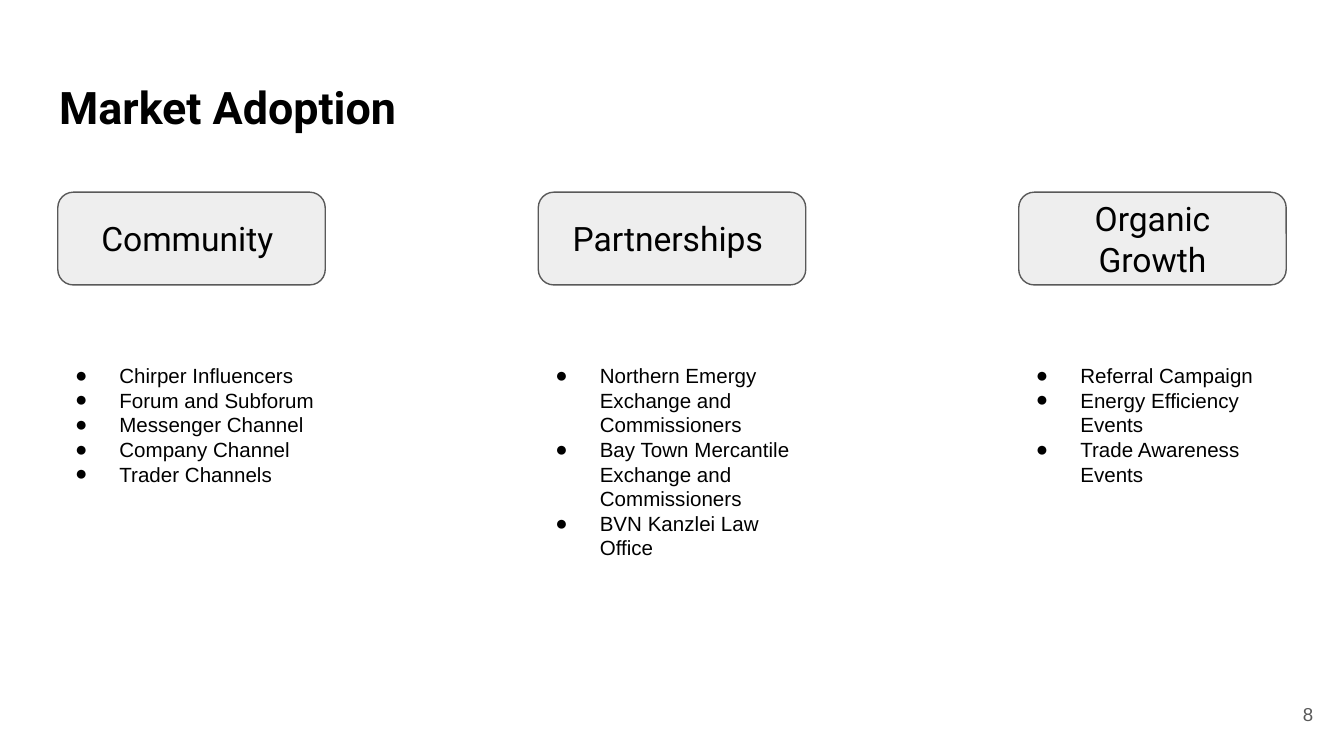
import pptx
import pptx.dml.color
import pptx.enum.shapes
import pptx.enum.text
import pptx.oxml
import pptx.oxml.ns
import pptx.util
from pptx.util import Inches

BLACK = pptx.dml.color.RGBColor(0x00, 0x00, 0x00)
GREY = pptx.dml.color.RGBColor(0x59, 0x59, 0x59)
PALE = pptx.dml.color.RGBColor(0xEE, 0xEE, 0xEE)

ALIGN = pptx.enum.text.PP_ALIGN
ANCHOR = pptx.enum.text.MSO_ANCHOR

CHANNELS = [
    ("Community ", ["Chirper Influencers", "Forum and Subforum",
                    "Messenger Channel", "Company Channel",
                    "Trader Channels"]),
    ("Partnerships ", ["Northern Emergy Exchange and Commissioners",
                       "Bay Town Mercantile Exchange and Commissioners",
                       "BVN Kanzlei Law Office"]),
    ("Organic Growth", ["Referral Campaign", "Energy Efficiency Events",
                        "Trade Awareness Events"]),
]
SLIDE_WIDTH = 10
SLIDE_HEIGHT = SLIDE_WIDTH * 9 / 16
COLUMN_LEFT, COLUMN_WIDTH = 0.29, 2.27
COLUMN_PITCH = 7.15 / (len(CHANNELS) - 1)


def place(part, left, top, width, height):
    part.left, part.top = Inches(left), Inches(top)
    part.width, part.height = Inches(width), Inches(height)


def prepare_frame(part, anchor=ANCHOR.TOP, side_margin=0.1):
    frame = part.text_frame
    frame.word_wrap = True
    frame.auto_size = pptx.enum.text.MSO_AUTO_SIZE.NONE
    frame.vertical_anchor = anchor
    frame.margin_left = frame.margin_right = Inches(side_margin)
    frame.margin_top = frame.margin_bottom = Inches(0.1)
    return frame


def add_run(paragraph, text, size, font, color=BLACK, bold=False,
            align=ALIGN.LEFT):
    paragraph.alignment = align
    run = paragraph.add_run()
    run.text = text
    run.font.size = pptx.util.Pt(size)
    run.font.name = font
    run.font.color.rgb = color
    run.font.bold = bold


def add_bullet(paragraph):
    properties = paragraph._p.get_or_add_pPr()
    properties.set("marL", str(Inches(0.5)))
    properties.set("indent", str(Inches(-0.33)))
    namespace = pptx.oxml.ns.nsdecls("a")
    for xml in (
        f'<a:buClr {namespace}><a:srgbClr val="{BLACK}"/></a:buClr>',
        f'<a:buFont {namespace} typeface="Arial"/>',
        f'<a:buChar {namespace} char="●"/>',
    ):
        properties.append(pptx.oxml.parse_xml(xml))


def fill_title(slide, left, top, width, height):
    title = slide.shapes.title
    place(title, left, top, width, height)
    frame = prepare_frame(title)
    add_run(frame.paragraphs[0], "Market Adoption", 24, "Roboto", bold=True)


def add_channel(slide, heading, items, left, top, width):
    # Rounded heading, centred over the list
    header_width = 1.99
    header = slide.shapes.add_shape(
        pptx.enum.shapes.MSO_SHAPE.ROUNDED_RECTANGLE,
        Inches(left + (width - header_width) / 2), Inches(top),
        Inches(header_width), Inches(0.69))
    header.shadow.inherit = False
    header.fill.solid()
    header.fill.fore_color.rgb = PALE
    header.line.color.rgb = GREY
    header.line.width = pptx.util.Pt(0.75)
    # Slightly wider margins keep the long heading on two lines
    frame = prepare_frame(header, ANCHOR.MIDDLE, side_margin=0.11)
    add_run(frame.paragraphs[0], heading, 18, "Roboto", align=ALIGN.CENTER)

    # Bulleted list
    item_list = slide.shapes.add_textbox(
        Inches(left), Inches(top + 1.17), Inches(width), Inches(1.28))
    frame = prepare_frame(item_list)
    for index, item in enumerate(items):
        paragraph = frame.add_paragraph() if index else frame.paragraphs[0]
        add_run(paragraph, item, 11, "Arial")
        add_bullet(paragraph)


def add_page_number(slide, left, top, width, height):
    number = slide.shapes.add_textbox(
        Inches(left), Inches(top), Inches(width), Inches(height))
    frame = prepare_frame(number, ANCHOR.MIDDLE)
    add_run(frame.paragraphs[0], "8", 10, "Arial", GREY, align=ALIGN.RIGHT)


def main():
    deck = pptx.Presentation()
    deck.slide_width = Inches(SLIDE_WIDTH)
    deck.slide_height = Inches(SLIDE_HEIGHT)
    slide = deck.slides.add_slide(deck.slide_layouts.get_by_name("Title Only"))

    fill_title(slide, 0.34, 0.49, 9.32, 0.63)
    add_page_number(slide, 9.27, 5.1, 0.6, 0.43)
    for column, (heading, items) in enumerate(CHANNELS):
        add_channel(slide, heading, items,
                    COLUMN_LEFT + column * COLUMN_PITCH, 1.43, COLUMN_WIDTH)

    deck.save("out.pptx")


if __name__ == "__main__":
    main()
